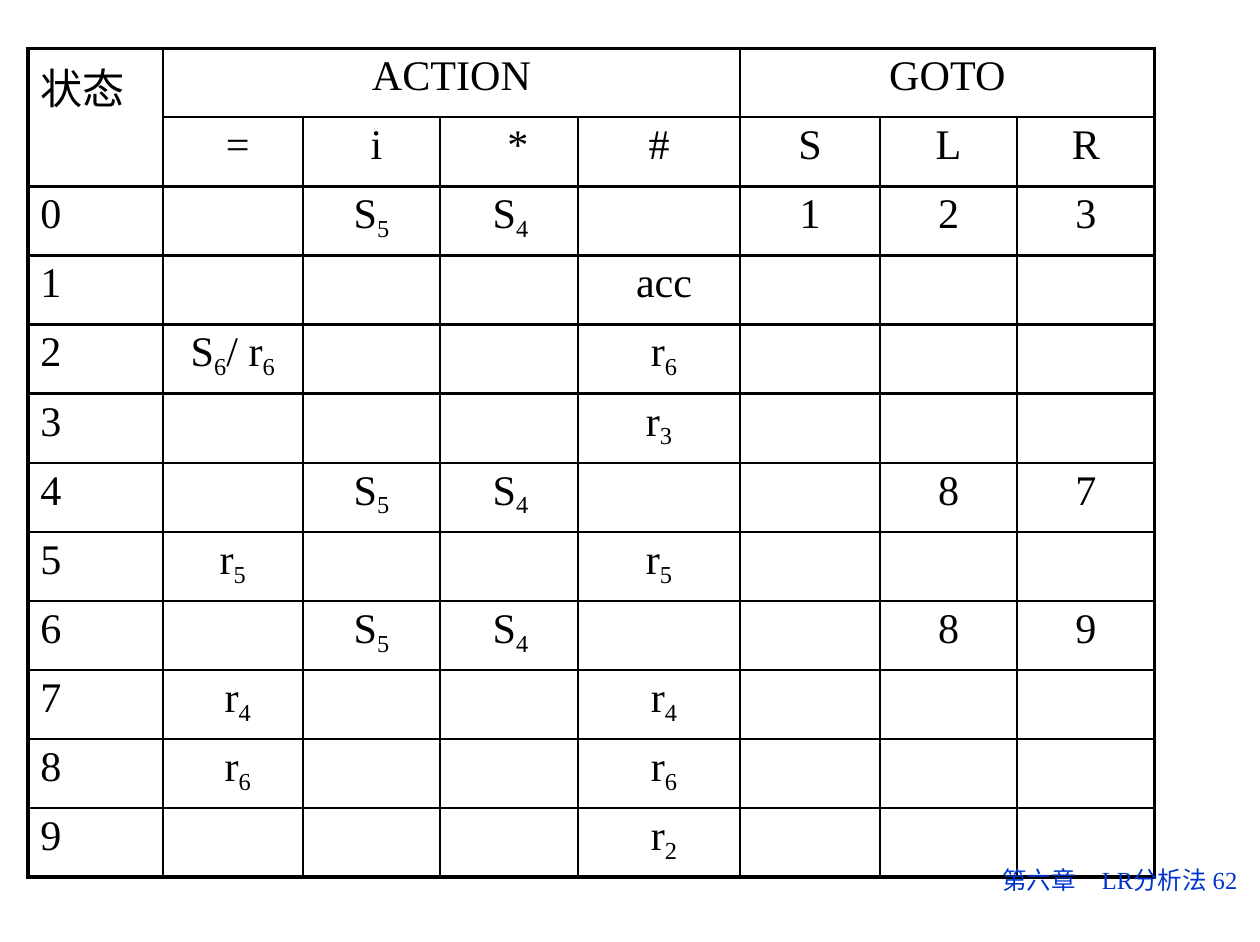
import pptx
import pptx.dml.color
import pptx.enum.text
import pptx.oxml.ns
import pptx.util
from lxml import etree

Cm = pptx.util.Cm
Pt = pptx.util.Pt
ALIGN = pptx.enum.text.PP_ALIGN

COLUMN_WIDTHS = [2.71, 2.82, 2.76, 2.77, 3.26, 2.81, 2.76, 2.76]
ROW_HEIGHT = 1.39
MERGES = [((0, 0), (1, 0)), ((0, 1), (0, 4)), ((0, 5), (0, 7))]
PARSE_TABLE = [
    ["状态", "ACTION", "", "", "", "GOTO", "", ""],
    ["", "=", "i", "*", "#", "S", "L", "R"],
    ["0", "", "S_5", "S_4", "", "1", "2", "3"],
    ["1", "", "", "", "acc", "", "", ""],
    ["2", "S_6_/ r_6", "", "", "r_6", "", "", ""],
    ["3", "", "", "", "r_3", "", "", ""],
    ["4", "", "S_5", "S_4", "", "", "8", "7"],
    ["5", "r_5", "", "", "r_5", "", "", ""],
    ["6", "", "S_5", "S_4", "", "", "8", "9"],
    ["7", "r_4", "", "", "r_4", "", "", ""],
    ["8", "r_6", "", "", "r_6", "", "", ""],
    ["9", "", "", "", "r_2", "", "", ""],
]
SHIFTED_CELLS = {(1, 1), (1, 2), (3, 4), (4, 4), (9, 1), (9, 4), (10, 1), (10, 4), (11, 4)}
STAR_COLUMN = 3


def color(value):
    return pptx.dml.color.RGBColor.from_string(value)


def add_child(parent, tag, **attributes):
    return etree.SubElement(parent, pptx.oxml.ns.qn(tag), **attributes)


class SlideBuilder:
    latin_font = "Times New Roman"
    chinese_font = "Noto Sans CJK SC"
    ink = "000000"
    footer_ink = "0033CC"
    thin = 1.5
    thick = 2.25

    def __init__(self, slide):
        self.slide = slide

    def run(self, paragraph, text, size, ink, subscript=False):
        run = paragraph.add_run()
        run.text = text
        chinese = any("一" <= letter <= "龥" for letter in text)
        run.font.size = Pt(size)
        run.font.color.rgb = color(ink)
        run.font.name = self.chinese_font if chinese else self.latin_font
        properties = run.font._element
        add_child(properties, "a:ea", typeface=self.chinese_font)
        if subscript:
            properties.set("baseline", "-21000")

    def border(self, cell, edges):
        properties = cell._tc.get_or_add_tcPr()
        for index, (side, outer) in enumerate(edges):
            width = Pt(self.thick if outer else self.thin)
            line = etree.Element(pptx.oxml.ns.qn(f"a:ln{side}"), w=str(int(width)))
            fill = add_child(line, "a:solidFill")
            add_child(fill, "a:srgbClr", val=self.ink)
            properties.insert(index, line)

    def cell(self, table, row, column, text):
        cell = table.cell(row, column)
        cell.fill.background()
        header = (row, column) == (0, 0)
        cell.margin_left = cell.margin_right = cell.margin_bottom = 0
        cell.margin_top = Cm(0.15 if header else 0.1)
        last_row = row + (cell.span_height if cell.is_merge_origin else 1)
        last_column = column + (cell.span_width if cell.is_merge_origin else 1)
        self.border(cell, [
            ("L", column == 0),
            ("R", last_column == len(table.columns)),
            ("T", row == 0),
            ("B", last_row == len(table.rows)),
        ])
        if not text:
            return
        paragraph = cell.text_frame.paragraphs[0]
        paragraph.space_before = Pt(4.3 if header else 2.8)
        paragraph.alignment = ALIGN.CENTER
        if column == 0:
            paragraph.alignment = ALIGN.LEFT
            cell.margin_left = Cm(0.25)
        elif column == STAR_COLUMN:
            paragraph.alignment = ALIGN.RIGHT
            cell.margin_right = Cm(1)
        elif (row, column) in SHIFTED_CELLS:
            cell.margin_left = Cm(0.2)
        for index, part in enumerate(text.split("_")):
            self.run(paragraph, part, 24, self.ink, subscript=index % 2 == 1)

    def table(self, left, top, widths, row_height, rows, merges):
        frame = self.slide.shapes.add_table(
            len(rows), len(widths), Cm(left), Cm(top),
            Cm(sum(widths)), Cm(row_height * len(rows)))
        table = frame.table
        table.first_row = table.horz_banding = False
        for column, width in zip(table.columns, widths):
            column.width = Cm(width)
        for row in table.rows:
            row.height = Cm(row_height)
        for first, last in merges:
            table.cell(*first).merge(table.cell(*last))
        for row, texts in enumerate(rows):
            for column, text in enumerate(texts):
                self.cell(table, row, column, text)

    def footer(self, left, top, width, height, tab, texts):
        shape = self.slide.shapes.add_textbox(Cm(left), Cm(top), Cm(width), Cm(height))
        frame = shape.text_frame
        frame.word_wrap = True
        frame.margin_left = Cm(0.03)
        frame.margin_right = frame.margin_top = frame.margin_bottom = 0
        paragraph = frame.paragraphs[0]
        paragraph.line_spacing = Pt(16.2)
        tabs = add_child(paragraph._p.get_or_add_pPr(), "a:tabLst")
        add_child(tabs, "a:tab", pos=str(int(Cm(tab))), algn="l")
        for text in texts:
            self.run(paragraph, text, 14, self.footer_ink)


def main():
    presentation = pptx.Presentation()
    presentation.slide_width = Pt(718)
    presentation.slide_height = Pt(537)
    slide = presentation.slides.add_slide(presentation.slide_layouts[6])
    builder = SlideBuilder(slide)
    builder.table(0.56, 0.97, COLUMN_WIDTHS, ROW_HEIGHT, PARSE_TABLE, MERGES)
    builder.footer(20.12, 17.42, 4.83, 0.66, 2, ["第六章\t", "LR", "分析法 ", "62"])
    presentation.save("out.pptx")


if __name__ == "__main__":
    main()
